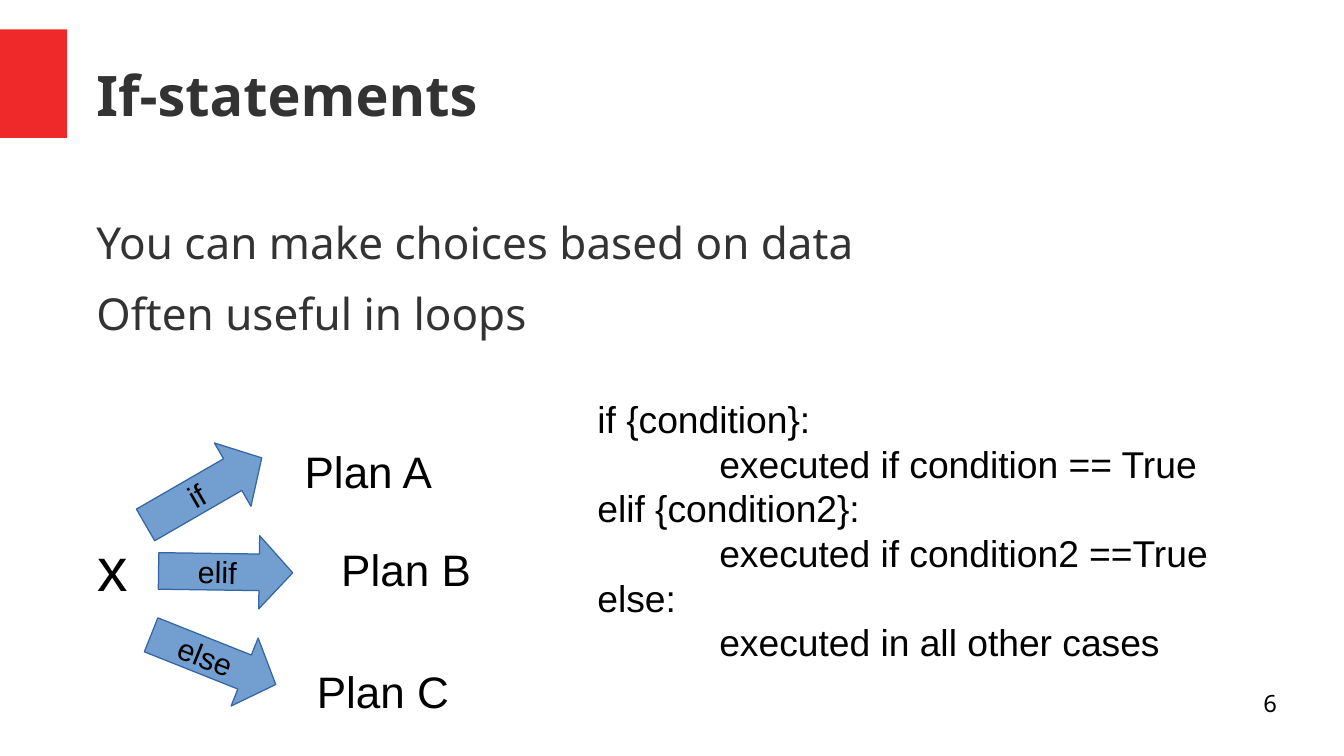
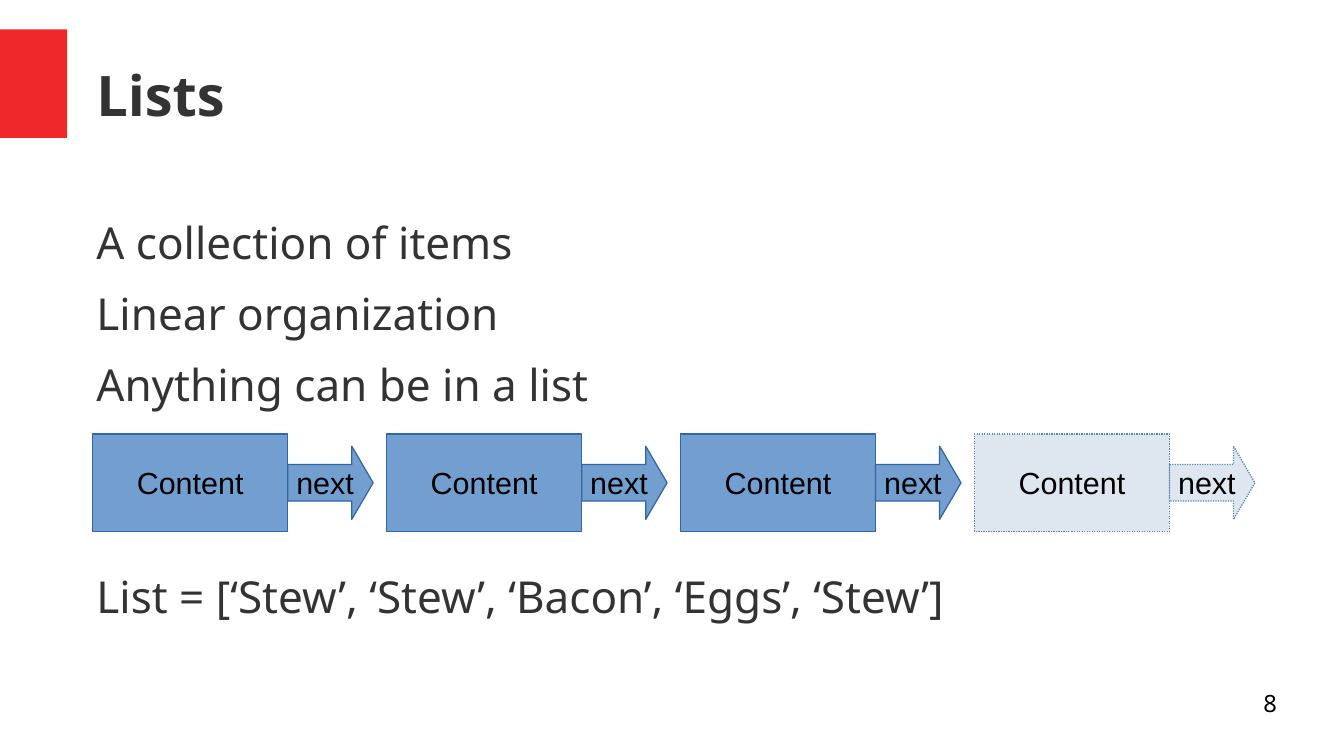
from dataclasses import dataclass

from pptx import Presentation
from pptx.dml.color import RGBColor
from pptx.enum.dml import MSO_LINE
from pptx.enum.shapes import MSO_SHAPE
from pptx.enum.text import MSO_ANCHOR, PP_ALIGN
from pptx.util import Inches, Pt


@dataclass(frozen=True)
class Theme:
    """Colours, fonts and type sizes of the deck."""
    accent: str = "EF2929"
    heading: str = "333333"
    ink: str = "000000"
    solid: tuple = ("729FCF", "3465A4")
    faded: tuple = ("DEE6EF", "5983B0")
    text_font: str = "Noto Sans"
    figure_font: str = "Arial"
    title_size: float = 33
    body_size: float = 26
    variable_size: float = 36
    code_size: float = 22
    label_size: float = 18
    number_size: float = 14
    body_after: float = 10.6


class LessonDeck:
    """Holds the theme and the current page, and draws each kind of element."""

    def __init__(self, theme):
        self.theme = theme
        self.deck = Presentation()
        self.deck.slide_width = Inches(11.02)
        self.deck.slide_height = Inches(6.2)
        self.page = None

    def start_page(self, title, number):
        """Adds a page with its red band, title and number."""
        theme = self.theme
        self.page = self.deck.slides.add_slide(self.deck.slide_layouts[6])
        self.shape(MSO_SHAPE.RECTANGLE, (0, 0.24, 0.55, 0.89), theme.accent)
        frame = self.text((0.79, 0.25, 9.68, 1.04), [title], theme.title_size,
                          theme.text_font, theme.heading, inset=False)
        frame.vertical_anchor = MSO_ANCHOR.MIDDLE
        frame.paragraphs[0].font.bold = True
        frame = self.text((7.9, 5.65, 2.57, 0.43), [str(number)], theme.number_size,
                          theme.text_font, theme.ink, inset=False)
        frame.paragraphs[0].alignment = PP_ALIGN.RIGHT

    def style(self, paragraph, size, font, color):
        """Sets the font of a whole paragraph."""
        paragraph.font.size = Pt(size)
        paragraph.font.name = font
        paragraph.font.color.rgb = RGBColor.from_string(color)

    def text(self, place, lines, size, font, color, inset=True):
        """Adds a text box with one paragraph for each line."""
        box = self.page.shapes.add_textbox(*map(Inches, place))
        frame = box.text_frame
        frame.word_wrap = True
        if not inset:
            frame.margin_left = frame.margin_right = 0
            frame.margin_top = frame.margin_bottom = 0
        frame.text = "\n".join(lines)
        for paragraph in frame.paragraphs:
            self.style(paragraph, size, font, color)
        return frame

    def body(self, lines):
        """Adds the main text and returns its paragraphs."""
        theme = self.theme
        frame = self.text((0.79, 1.77, 9.45, 3.6), lines, theme.body_size,
                          theme.text_font, theme.heading, inset=False)
        for paragraph in frame.paragraphs:
            paragraph.space_after = Pt(theme.body_after)
        return frame.paragraphs

    def figure_text(self, place, text, size):
        """Adds a one-line text that belongs to a figure."""
        self.text(place, [text], size, self.theme.figure_font, self.theme.ink)

    def code(self, place, lines):
        """Adds code from pairs of indent level and text."""
        theme = self.theme
        frame = self.text(place, [line for _, line in lines], theme.code_size,
                          theme.figure_font, theme.ink)
        for paragraph, (level, _) in zip(frame.paragraphs, lines):
            properties = paragraph._p.get_or_add_pPr()
            properties.set("marL", str(Inches(level)))
            properties.set("indent", "0")

    def shape(self, kind, place, fill, parent=None):
        """Adds a plain filled shape to the page or to a group."""
        shapes = (parent or self.page).shapes
        shape = shapes.add_shape(kind, *map(Inches, place))
        shape.shadow.inherit = False
        shape.fill.solid()
        shape.fill.fore_color.rgb = RGBColor.from_string(fill)
        shape.line.fill.background()
        return shape

    def labelled(self, kind, place, label, colors, parent=None):
        """Adds an outlined shape with a centred label."""
        fill, outline = colors
        shape = self.shape(kind, place, fill, parent)
        shape.line.color.rgb = RGBColor.from_string(outline)
        shape.line.width = Pt(0)
        frame = shape.text_frame
        frame.word_wrap = False
        frame.vertical_anchor = MSO_ANCHOR.MIDDLE
        frame.text = label
        paragraph = frame.paragraphs[0]
        paragraph.alignment = PP_ALIGN.CENTER
        self.style(paragraph, self.theme.label_size, self.theme.figure_font, self.theme.ink)
        return shape

    def arrow(self, place, label, colors, head, rotation=0, parent=None):
        """Adds a labelled block arrow with the given head length."""
        arrow = self.labelled(MSO_SHAPE.RIGHT_ARROW, place, label, colors, parent)
        arrow.adjustments[1] = head
        arrow.rotation = rotation
        return arrow

    def list_node(self, left, faded):
        """Adds a content box grouped with the arrow to the next one."""
        colors = self.theme.faded if faded else self.theme.solid
        group = self.page.shapes.add_group_shape()
        content = self.labelled(MSO_SHAPE.RECTANGLE, (left, 3.56, 1.6, 0.8),
                                "Content", colors, group)
        following = self.arrow((left + 1.6, 3.66, 0.7, 0.6), "next", colors, 0.292,
                               parent=group)
        if faded:
            for shape in (content, following):
                shape.line.width = Pt(0.75)
                shape.line.dash_style = MSO_LINE.ROUND_DOT


def add_if_statements(lesson):
    """Builds the page on if-statements."""
    theme = lesson.theme
    lesson.start_page("If-statements", 6)
    lesson.body(["You can make choices based on data", "Often useful in loops"])
    lesson.figure_text((0.7, 4.3, 0.8, 0.66), "x", theme.variable_size)
    branches = [
        ("if", 1.12, 3.73, 330, "Plan A", 2.4, 3.6),
        ("elif", 1.3, 4.39, 0.8, "Plan B", 2.7, 4.4),
        ("else", 1.2, 5.11, 21.7, "Plan C", 2.5, 5.4),
    ]
    for keyword, left, top, rotation, plan, plan_left, plan_top in branches:
        lesson.arrow((left, top, 1.1, 0.6), keyword, theme.solid, 0.458, rotation)
        lesson.figure_text((plan_left, plan_top, 1.7, 0.5), plan, theme.body_size)
    lesson.code((4.8, 3.2, 5.4, 2.3), [
        (0, "if {condition}:"),
        (1, "executed if condition == True"),
        (0, "elif {condition2}:"),
        (1, "executed if condition2 ==True"),
        (0, "else:"),
        (1, "executed in all other cases"),
    ])


def add_lists(lesson):
    """Builds the page on lists."""
    lesson.start_page("Lists", 8)
    paragraphs = lesson.body([
        "A collection of items",
        "Linear organization",
        "Anything can be in a list",
        "List = [‘Stew’, ‘Stew’, ‘Bacon’, ‘Eggs’, ‘Stew’]",
    ])
    paragraphs[-1].space_before = Pt(83.5)
    node_count = 4
    for index in range(node_count):
        lesson.list_node(0.76 + 2.41 * index, faded=index == node_count - 1)


def main():
    """Builds and saves the deck."""
    lesson = LessonDeck(Theme())
    add_if_statements(lesson)
    add_lists(lesson)
    lesson.deck.save("out.pptx")


if __name__ == "__main__":
    main()
